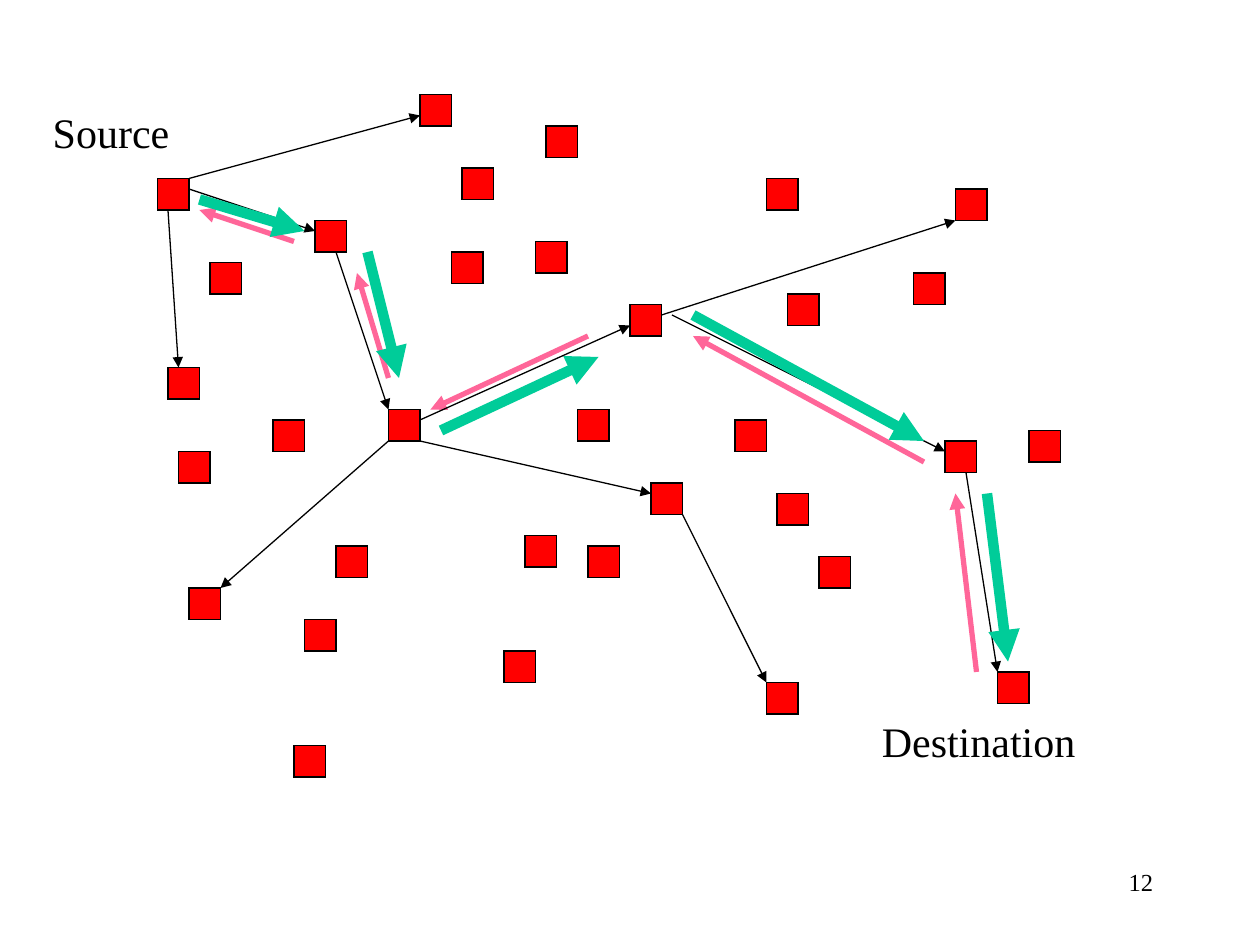
from pptx import Presentation
from pptx.dml.color import RGBColor
from pptx.enum.shapes import MSO_CONNECTOR as CONN, MSO_SHAPE as SHAPE
from pptx.enum.text import PP_ALIGN as ALIGN
from pptx.oxml.ns import qn
from pptx.util import Inches, Pt
from lxml.etree import SubElement

BLACK, RED, PINK, GREEN = "000000", "FF0000", "FF6699", "00CC99"
FONT = "Times New Roman"
NODE = 0.25
GRID = 12

LINKS_BELOW = [
    (7.67, 3.75, 7.92, 5.33), (5.25, 2.5, 7.58, 1.75),
    (5.33, 2.5, 7.5, 3.58), (1.33, 1.67, 1.42, 2.92),
    (1.5, 1.5, 2.5, 1.83), (1.5, 1.42, 3.33, 0.92),
]
LINKS_ABOVE = [
    (2.67, 2, 3.08, 3.25), (3.08, 3.5, 1.75, 4.67),
    (3.33, 3.5, 5.17, 3.92), (3.33, 3.33, 5, 2.58),
    (5.42, 4.08, 6.08, 5.42),
]
REPLIES = [
    (7.75, 5.33, 7.58, 3.92), (7.33, 3.67, 5.5, 2.67),
    (4.67, 2.67, 3.42, 3.25), (3.08, 3, 2.83, 2.17),
    (2.33, 1.92, 1.58, 1.67),
]
ROUTE = [
    (1.58, 1.58, 2.42, 1.83), (2.92, 2, 3.17, 3),
    (3.5, 3.42, 4.75, 2.83), (5.5, 2.5, 7.33, 3.5),
    (7.83, 3.92, 8, 5.25),
]
PATH_NODES = [
    (1.25, 1.42), (3.33, 0.75), (2.5, 1.75), (3.08, 3.25), (5.17, 3.83),
    (1.5, 4.67), (5, 2.42), (7.5, 3.5), (7.92, 5.33),
]
OTHER_NODES = [
    (1.33, 2.92), (1.67, 2.08), (4.33, 1), (4.25, 1.92), (3.67, 1.33),
    (1.42, 3.58), (2.67, 4.33), (4.17, 4.25), (5.83, 3.33), (4.58, 3.25),
    (3.58, 2), (2.17, 3.33), (2.33, 5.92), (4, 5.17), (6.08, 1.42),
    (6.25, 2.33), (7.25, 2.17), (6.17, 3.92), (8.17, 3.42), (7.58, 1.5),
    (6.5, 4.42), (6.08, 5.42), (4.67, 4.33), (2.42, 4.92),
]


def rgb(color):
    return RGBColor.from_string(color)


def snap(value):
    return Inches(round(value * GRID) / GRID)


def add_nodes(s, nodes):
    for x, y in nodes:
        sp = s.shapes.add_shape(SHAPE.RECTANGLE, snap(x), snap(y),
                                Inches(NODE), Inches(NODE))
        sp.shadow.inherit = False
        sp.fill.solid()
        sp.fill.fore_color.rgb = rgb(RED)
        sp.line.color.rgb = rgb(BLACK)
        sp.line.width = Pt(0.75)
        SubElement(sp.line._get_or_add_ln(), qn("a:miter"), lim="800000")


def add_arrows(s, arrows, color=BLACK, width=0.75):
    for ends in arrows:
        sp = s.shapes.add_connector(CONN.STRAIGHT, *map(snap, ends))
        sp.line.color.rgb = rgb(color)
        sp.line.width = Pt(width)
        SubElement(sp.line._get_or_add_ln(), qn("a:tailEnd"), type="triangle")
        SubElement(sp._element.spPr, qn("a:effectLst"))


def add_text(s, text, x, y, w, h=0.5, size=24, align=ALIGN.LEFT):
    sp = s.shapes.add_textbox(Inches(x), Inches(y), Inches(w), Inches(h))
    tf = sp.text_frame
    tf.word_wrap = True
    p = tf.paragraphs[0]
    p.alignment = align
    r = p.add_run()
    r.text = text
    r.font.name = FONT
    r.font.size = Pt(size)
    r.font.color.rgb = rgb(BLACK)


def main():
    prs = Presentation()
    prs.slide_width, prs.slide_height = Inches(10), Inches(7.5)
    s = prs.slides.add_slide(prs.slide_layouts[6])
    add_arrows(s, LINKS_BELOW)
    add_nodes(s, PATH_NODES)
    add_arrows(s, REPLIES, PINK, 3)
    add_arrows(s, ROUTE, GREEN, 6)
    add_text(s, "Source", 0.32, 0.8, 1.17)
    add_text(s, "Destination", 6.9, 5.63, 1.78)
    add_arrows(s, LINKS_ABOVE)
    add_nodes(s, OTHER_NODES)
    add_text(s, "12", 7.17, 6.83, 2.08, size=14, align=ALIGN.RIGHT)
    prs.save("out.pptx")


if __name__ == "__main__":
    main()
